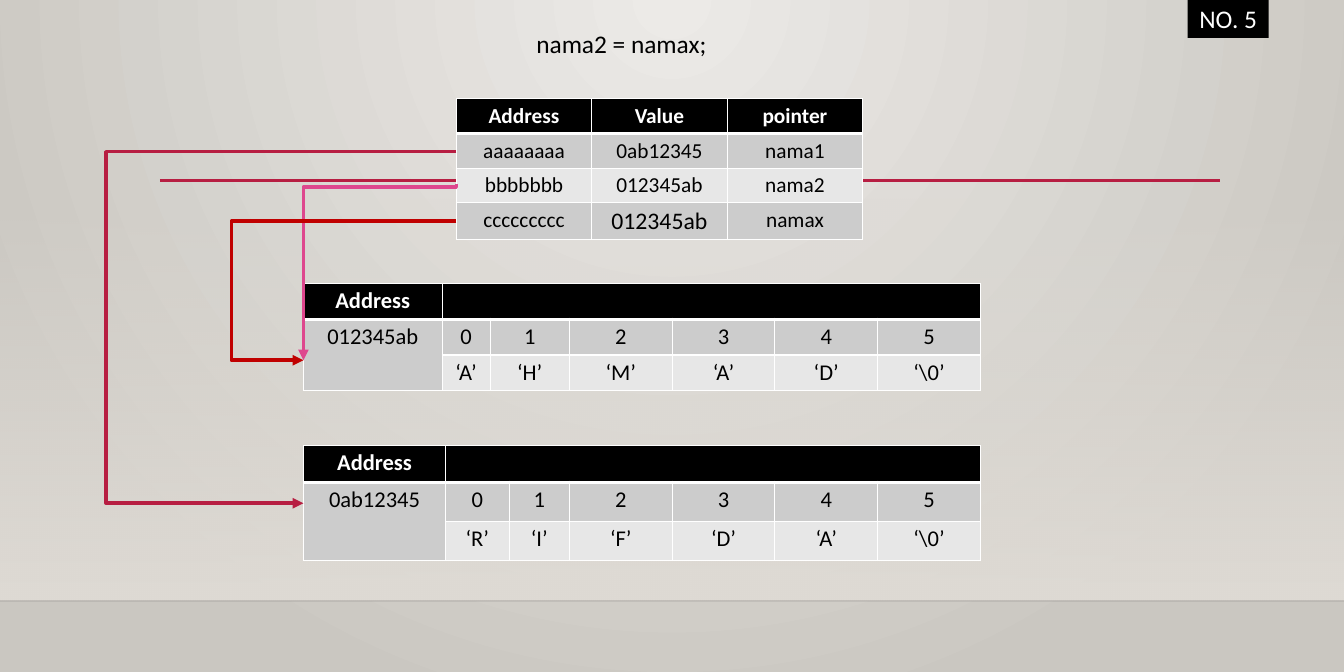
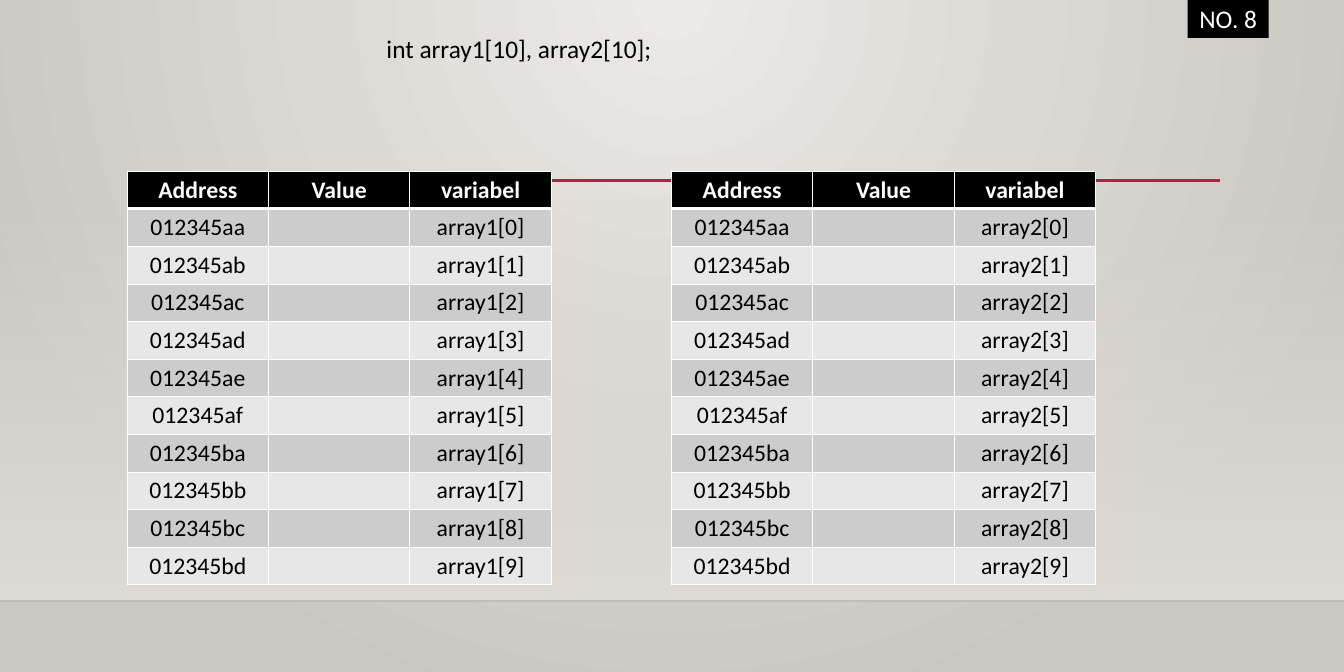
from lxml import etree
from pptx import Presentation
from pptx import util as u
from pptx.dml.color import RGBColor
from pptx.enum import shapes, text
from pptx.oxml import ns

Pt = u.Pt
WIDTH, HEIGHT = 1134, 567
COLORS = {
    "light": "ECEAE7", "shade": "CAC7C1", "band": "DFDBD5", "floor": "000001",
    "crimson": "B71E42", "pink": "DE478E", "red": "C00000",
    "black": "000000", "white": "FFFFFF", "odd": "CCCCCC", "even": "E7E7E7",
}
CENTER = text.PP_ALIGN.CENTER
FRAME_FORMAT = {"word_wrap": True, "vertical_anchor": text.MSO_ANCHOR.TOP}
LABEL_SIZE = 21.4


def rgb(name):
    return RGBColor.from_string(COLORS[name])


def apply(target, values):
    for attribute, value in values.items():
        setattr(target, attribute, value)


def add_xml(parent, tag, **attributes):
    return etree.SubElement(parent, ns.qn(tag), attributes)


def write(paragraph, wording, size, color, align=None, bold=False):
    paragraph.alignment = align
    run = paragraph.add_run()
    run.text = wording
    apply(run.font, {"name": "Calibri", "size": Pt(size), "bold": bold})
    run.font.color.rgb = rgb(color)


# Shared background and frame
def fill_gradient(fill, first, last):
    fill.gradient()
    for stop, name in zip(fill.gradient_stops, (first, last)):
        stop.color.rgb = rgb(name)


def set_background(master):
    fill_gradient(master.background.fill, "light", "shade")
    linear = master.element.find(".//" + ns.qn("a:lin"))
    gradient = linear.getparent()
    gradient.remove(linear)
    circle = add_xml(gradient, "a:path", path="circle")
    add_xml(circle, "a:fillToRect", l="43000", t="0", r="43000", b="100000")


def add_line(slide, kind, start, end, color, width):
    line = slide.shapes.add_connector(kind, *map(Pt, start + end))
    line.line.color.rgb = rgb(color)
    line.line.width = Pt(width)
    add_xml(line.element.spPr, "a:effectLst")
    return line


def add_box(slide, left, top, width, height):
    box = slide.shapes.add_shape(shapes.MSO_SHAPE.RECTANGLE,
                                 *map(Pt, (left, top, width, height)))
    box.shadow.inherit = False
    box.line.fill.background()
    return box


def add_frame(slide, number):
    band = add_box(slide, 0, 167, WIDTH, 340)
    fill_gradient(band.fill, "band", "band")
    band.fill.gradient_angle = 270
    clear = band.element.find(".//" + ns.qn("a:srgbClr"))
    add_xml(clear, "a:alpha", val="0")

    straight = shapes.MSO_CONNECTOR.STRAIGHT
    floor = add_line(slide, straight, (0, 507), (WIDTH, 507), "floor", 1)
    add_xml(floor.element.find(".//" + ns.qn("a:srgbClr")), "a:alpha", val="20000")
    add_line(slide, straight, (135, 152.6), (1029, 152.6), "crimson", 2.5)

    tag = add_box(slide, 1002, -1, 68.5, 33)
    tag.fill.solid()
    tag.fill.fore_color.rgb = rgb("black")
    apply(tag.text_frame, {"word_wrap": False,
                           "vertical_anchor": text.MSO_ANCHOR.MIDDLE})
    write(tag.text_frame.paragraphs[0], number, LABEL_SIZE, "white", CENTER)


# Content elements
def add_code(slide, left, top, width, wording):
    code = slide.shapes.add_textbox(*map(Pt, (left, top, width, 33)))
    apply(code.text_frame, FRAME_FORMAT)
    write(code.text_frame.paragraphs[0], wording, LABEL_SIZE, "black")


def add_borders(cell, row):
    widths = {"a:lnL": 1, "a:lnR": 1,
              "a:lnT": 3 if row == 1 else 1, "a:lnB": 3 if row == 0 else 1}
    for tag, width in widths.items():
        border = add_xml(cell._tc.get_or_add_tcPr(), tag, w=str(Pt(width)))
        add_xml(add_xml(border, "a:solidFill"), "a:srgbClr", val=COLORS["white"])


def add_grid(slide, left, top, widths, heights, rows, size):
    frame = slide.shapes.add_table(len(rows), len(widths), Pt(left), Pt(top),
                                   Pt(sum(widths)), Pt(sum(heights)))
    grid = frame.table
    apply(grid, {"first_row": False, "horz_banding": False})
    for column, width in zip(grid.columns, widths):
        column.width = Pt(width)
    for r, (entries, height) in enumerate(zip(rows, heights)):
        grid.rows[r].height = Pt(height)
        header = r == 0
        for cell, entry in zip(grid.rows[r].cells, entries):
            add_borders(cell, r)
            cell.fill.solid()
            cell.fill.fore_color.rgb = rgb(
                "black" if header else "odd" if r % 2 else "even")
            if entry:
                write(cell.text_frame.paragraphs[0], entry, size,
                      "white" if header else "black", CENTER, header)
    return grid


def add_string_memory(slide, top, first_widths, heights, address, letters):
    rows = [["Address"] + [""] * len(letters),
            [address] + [str(i) for i in range(len(letters))],
            [""] + [f"‘{letter}’" for letter in letters]]
    grid = add_grid(slide, 256, top, first_widths + [86.7] * 4, heights, rows, 19)
    grid.cell(0, 1).merge(grid.cell(0, len(letters)))
    grid.cell(1, 0).merge(grid.cell(2, 0))


def add_pointer(slide, start, end, color, bend, downward=False):
    """Elbow arrow; bend is the turning point as a share of the first axis."""
    if downward:
        # A quarter turn makes the elbow arrive from above
        (x1, y1), (x2, y2) = start, end
        mid_x, mid_y = (x1 + x2) / 2, (y1 + y2) / 2
        half_w, half_h = abs(y2 - y1) / 2, abs(x2 - x1) / 2
        start = (mid_x - half_w, mid_y - half_h)
        end = (mid_x + half_w, mid_y + half_h)
    arrow = add_line(slide, shapes.MSO_CONNECTOR.ELBOW, start, end, color, 3)
    if downward:
        arrow.element.spPr.find(ns.qn("a:xfrm")).set("rot", "5400000")
    guides = arrow.element.spPr.find(ns.qn("a:prstGeom")).find(ns.qn("a:avLst"))
    add_xml(guides, "a:gd", name="adj1", fmla=f"val {round(bend * 100000)}")
    add_xml(arrow.line._get_or_add_ln(), "a:tailEnd", type="triangle")


# Slides
def build_pointer_slide(slide):
    add_frame(slide, "NO. 5")
    add_string_memory(slide, 239, [117, 40.5, 67], [30.3] * 3, "012345ab",
                      ["A", "H", "M", "A", "D", "\\0"])
    add_string_memory(slide, 375.8, [120, 53.5, 51], [31, 33, 33], "0ab12345",
                      ["R", "I", "F", "D", "A", "\\0"])
    add_code(slide, 445.5, 20.5, 328, "nama2 = namax;")
    rows = [["Address", "Value", "pointer"],
            ["aaaaaaaa", "0ab12345", "nama1"],
            ["bbbbbbb", "012345ab", "nama2"],
            ["ccccccccc", "012345ab", "namax"]]
    pointers = add_grid(slide, 385, 83.3, [114.3] * 3, [29.3] * 4, rows, 18)
    copied_value = pointers.cell(3, 1).text_frame.paragraphs[0].runs[0]
    copied_value.font.size = Pt(20)
    add_pointer(slide, (385, 155.5), (256, 304), "pink", 0.015, downward=True)
    add_pointer(slide, (385, 186.5), (256, 304), "red", 1.47)
    add_pointer(slide, (385, 128), (256, 424.6), "crimson", 2.29)


def build_array_slide(slide):
    add_frame(slide, "NO. 8")
    addresses = [f"012345{end}" for end in
                 ("aa", "ab", "ac", "ad", "ae", "af", "ba", "bb", "bc", "bd")]
    for left, array in ((107.3, "array1"), (566.6, "array2")):
        rows = [["Address", "Value", "variabel"]]
        rows += [[address, "", f"{array}[{i}]"] for i, address in enumerate(addresses)]
        add_grid(slide, left, 144.5, [119.3] * 3, [31.6] * len(rows), rows, 20)
    add_code(slide, 319, 24.5, 428, "int array1[10], array2[10];")


def main():
    prs = Presentation()
    apply(prs, {"slide_width": Pt(WIDTH), "slide_height": Pt(HEIGHT)})
    set_background(prs.slide_master)
    blank = prs.slide_layouts[6]
    for build in (build_pointer_slide, build_array_slide):
        build(prs.slides.add_slide(blank))
    prs.save("out.pptx")


if __name__ == "__main__":
    main()
